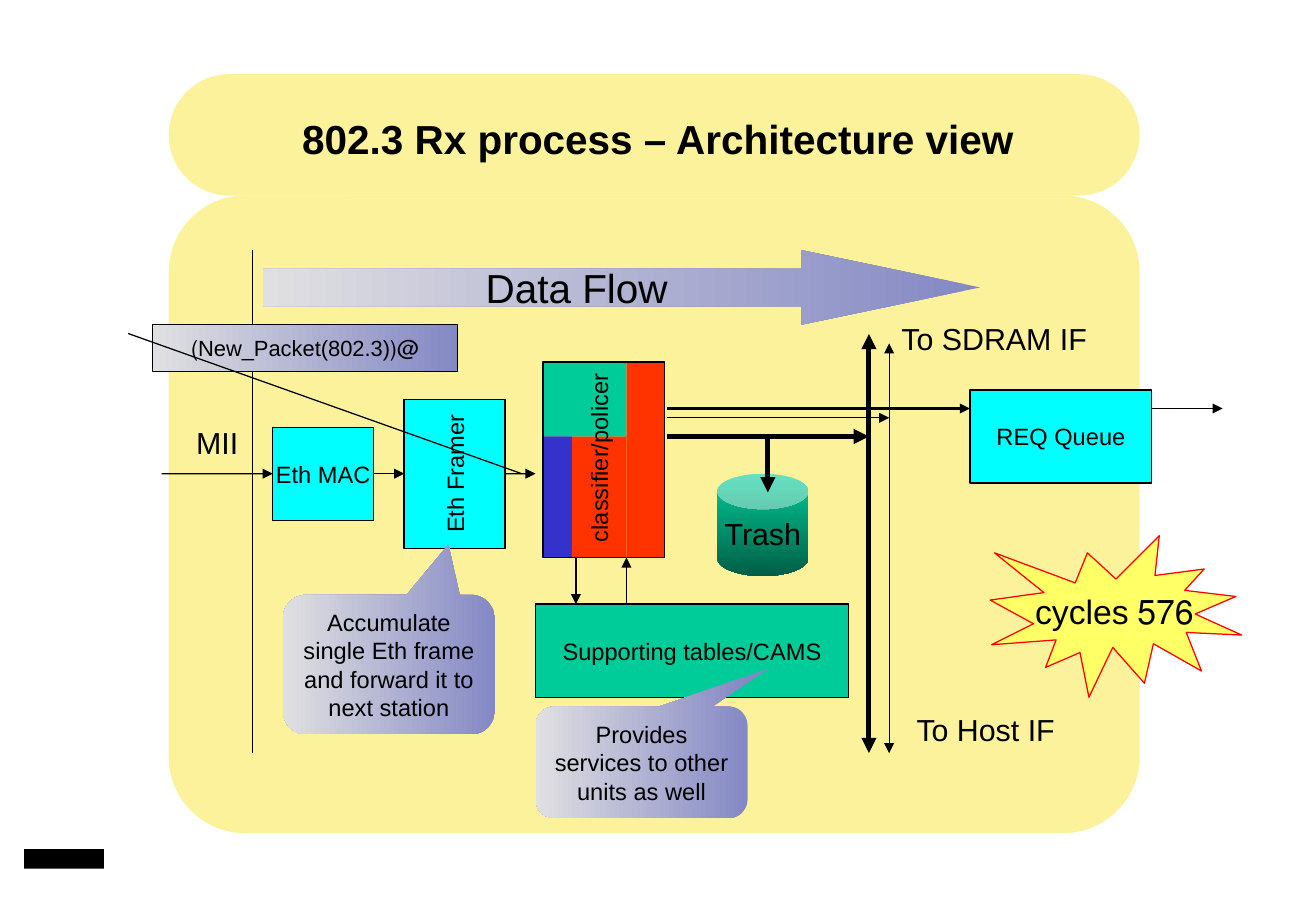
from dataclasses import dataclass
from typing import Optional, Union

from lxml.etree import SubElement
from pptx import Presentation
from pptx.dml.color import RGBColor
from pptx.enum.shapes import MSO_CONNECTOR, MSO_SHAPE as Kind
from pptx.enum.text import MSO_ANCHOR as Anchor, PP_ALIGN as Align
from pptx.oxml.ns import qn
from pptx.util import Emu, Inches, Pt

BLACK = RGBColor(0x00, 0x00, 0x00)
CREAM = RGBColor(0xFB, 0xF2, 0x9B)
CYAN = RGBColor(0x00, 0xFF, 0xFF)
GREEN = RGBColor(0x00, 0xCC, 0x99)
PINE = RGBColor(0x00, 0x5E, 0x46)
RED = RGBColor(0xFF, 0x33, 0x00)
BLUE = RGBColor(0x33, 0x33, 0xCC)
YELLOW = RGBColor(0xFF, 0xFF, 0x66)
FLAME = RGBColor(0xFF, 0x00, 0x00)
LILAC = RGBColor(0x84, 0x88, 0xC4)
MIST = RGBColor(0xE0, 0xE0, 0xE2)

FONT = "Arial"
TOP = Inches(2.06)
COL = Inches(7.99) / 96
ROW = Inches(4.14) / 54


@dataclass(frozen=True)
class Blend:
    first: RGBColor
    last: RGBColor
    angle: int


HAZE = Blend(LILAC, MIST, 180)
DEPTH = Blend(GREEN, PINE, 270)


@dataclass(frozen=True)
class Box:
    """Block between two grid corners; no kind means a text box."""
    kind: Optional[Kind]
    left: float
    top: float
    right: float
    bottom: float
    fill: Union[RGBColor, Blend, None] = None
    text: str = ""
    size: int = 14
    edge: Optional[RGBColor] = None
    adj: tuple[float, ...] = ()
    wrap: bool = False
    rtl: bool = False
    turn: bool = False


@dataclass(frozen=True)
class Link:
    left: float
    top: float
    right: float
    bottom: float
    width: float = 0.75
    head: bool = False
    tail: bool = True
    start: str = ""
    end: str = ""


CARDS = [
    Box(Kind.ROUNDED_RECTANGLE, 16.7, -18.9, 112.8, -5.87, CREAM, adj=(0.5,)),
    Box(Kind.ROUNDED_RECTANGLE, 16.7, -5.87, 112.8, 62.6, CREAM, adj=(0.12,)),
]

BLOCKS = [
    Box(Kind.EXPLOSION1, 98, 30.65, 122.9, 48, YELLOW, "576 cycles", 20, FLAME, rtl=True),
    Box(Kind.RECTANGLE, 27, 19, 37, 29, CYAN, "Eth MAC", edge=BLACK),
    Box(Kind.RECTANGLE, 40, 16, 50, 32, CYAN, "Eth Framer", edge=BLACK, turn=True),
    Box(Kind.RIGHT_ARROW, 26, 0, 97, 8, HAZE, "Data Flow", 24, adj=(0.5, 2.4)),
    Box(Kind.ROUNDED_RECTANGULAR_CALLOUT, 28, 37, 49, 52, HAZE,
        "Accumulate single Eth frame and forward it to next station",
        adj=(0.28, -0.86, 0.17), wrap=True),
    Box(Kind.RECTANGLE, 53, 38, 84, 48, GREEN, "Supporting tables/CAMS", edge=BLACK),
    Box(Kind.RECTANGLE, 96, 15, 114, 25, CYAN, "REQ Queue", edge=BLACK),
    Box(Kind.ROUNDED_RECTANGULAR_CALLOUT, 53, 49, 74, 61, HAZE,
        "Provides services to other units as well",
        adj=(0.6, -0.84, 0.17), wrap=True),
    Box(Kind.CAN, 71, 24, 80, 35, DEPTH, "Trash", 18, adj=(0.39,)),
    Box(None, 17, 18, 26, 23.2, text="MII", size=18),
    Box(None, 88.2, 48.9, 106.9, 54.1, text="To Host IF", size=18, wrap=True),
    Box(None, 85.9, 6.9, 110.9, 12.1, text="To SDRAM IF", size=18, wrap=True),
]

LINKS = [
    Link(16, 24, 27, 24, end="Eth MAC"),
    Link(37, 24, 40, 24, start="Eth MAC", end="Eth Framer"),
    Link(50, 24, 53, 24, start="Eth Framer"),
    Link(25, 0, 25, 54, tail=False),
    Link(57, 33, 57, 38),
    Link(62, 38, 62, 33),
    Link(66, 20, 86, 20, 3),
    Link(86, 54, 86, 9, 3, head=True),
    Link(76, 20, 76, 26, 3),
    Link(66, 17, 96, 17, 1.5),
    Link(66, 18, 88, 18),
    Link(88, 18, 88, 54),
    Link(88, 18, 88, 10),
    Link(114, 17, 121, 17),
]

FRONT = [
    Box(Kind.LINE_CALLOUT_1, 15.1, 8, 45.3, 13, HAZE, "@(New_Packet(802.3))", 13,
        BLACK, (0.19, -0.08, 3.2, 1.21), wrap=True, rtl=True),
    Box(Kind.RECTANGLE, 62, 12, 65.8, 33, RED),
    Box(Kind.RECTANGLE, 56.6, 20, 62, 33, RED),
    Box(Kind.RECTANGLE, 53.75, 12, 62, 20, GREEN),
    Box(Kind.RECTANGLE, 53.75, 20, 56.6, 33, BLUE),
    Box(Kind.RECTANGLE, 53.75, 12, 65.8, 33, edge=BLACK),
    Box(None, 57.2, 12, 61.3, 32.6, text="classifier/policer", turn=True),
    Box(Kind.RECTANGLE, 2.4, 64.3, 10.3, 66.4, BLACK),
]


def across(col: float) -> Emu:
    return Emu(round(col * COL))


def down(row: float) -> Emu:
    return Emu(round(TOP + row * ROW))


def paint(shape, fill: Union[RGBColor, Blend, None]) -> None:
    if isinstance(fill, Blend):
        shape.fill.gradient()
        shape.fill.gradient_angle = fill.angle
        for stop, tone in zip(shape.fill.gradient_stops, (fill.first, fill.last)):
            stop.color.rgb = tone
    elif fill is None:
        shape.fill.background()
    else:
        shape.fill.solid()
        shape.fill.fore_color.rgb = fill


def write(frame, text: str, size: int, bold: bool = False):
    """Put one centred run in the frame and return its paragraph."""
    frame.vertical_anchor = Anchor.MIDDLE
    para = frame.paragraphs[0]
    para.alignment = Align.CENTER
    run = para.add_run()
    run.text = text
    font = run.font
    font.name, font.size, font.bold = FONT, Pt(size), bold
    font.color.rgb = BLACK
    return para


def draw(shapes, box: Box):
    left, top = across(box.left), down(box.top)
    area = left, top, across(box.right) - left, down(box.bottom) - top
    if box.kind is None:
        shape = shapes.add_textbox(*area)
    else:
        shape = shapes.add_shape(box.kind, *area)
        shape.shadow.inherit = False
        for spot, value in enumerate(box.adj):
            shape.adjustments[spot] = value
        paint(shape, box.fill)
        if box.edge is None:
            shape.line.fill.background()
        else:
            shape.line.color.rgb = box.edge
            shape.line.width = Pt(0.75)
    if box.text:
        frame = shape.text_frame
        frame.word_wrap = box.wrap
        para = write(frame, box.text, box.size)
        if box.rtl:
            para._p.get_or_add_pPr().set("rtl", "1")
        if box.turn:
            frame._txBody.bodyPr.set("vert", "vert270")
    return shape


def join(shapes, link: Link, blocks: dict) -> None:
    line = shapes.add_connector(MSO_CONNECTOR.STRAIGHT, across(link.left), down(link.top),
                                across(link.right), down(link.bottom))
    if link.start:
        line.begin_connect(blocks[link.start], 3)
    if link.end:
        line.end_connect(blocks[link.end], 1)
    line.line.color.rgb = BLACK
    line.line.width = Pt(link.width)
    stroke = line.line._get_or_add_ln()
    for shown, tag in ((link.head, "a:headEnd"), (link.tail, "a:tailEnd")):
        if shown:
            SubElement(stroke, qn(tag), type="triangle")
    SubElement(line._element.spPr, qn("a:effectLst"))


def main() -> None:
    deck = Presentation()
    deck.slide_width, deck.slide_height = Inches(10.84), Inches(7.5)
    shapes = deck.slides.add_slide(deck.slide_layouts[5]).shapes
    for card in CARDS:
        draw(shapes, card)
    title = shapes.title
    title.left, title.top = Inches(0), Inches(0.51)
    title.width, title.height = deck.slide_width, Inches(1.25)
    write(title.text_frame, "802.3 Rx process – Architecture view", 24, bold=True)
    shapes._spTree.append(title._element)
    blocks = {box.text: draw(shapes, box) for box in BLOCKS}
    for link in LINKS:
        join(shapes, link, blocks)
    for box in FRONT:
        draw(shapes, box)
    deck.save("out.pptx")


if __name__ == "__main__":
    main()
